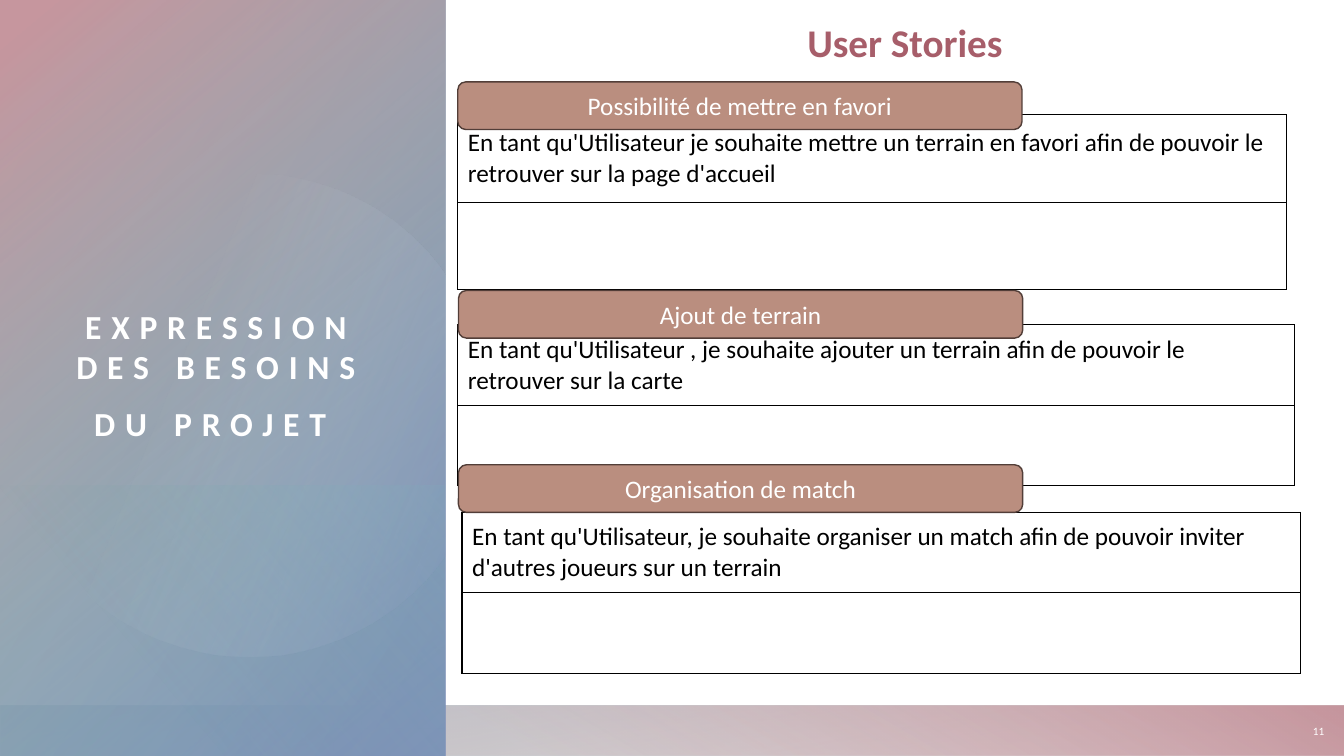
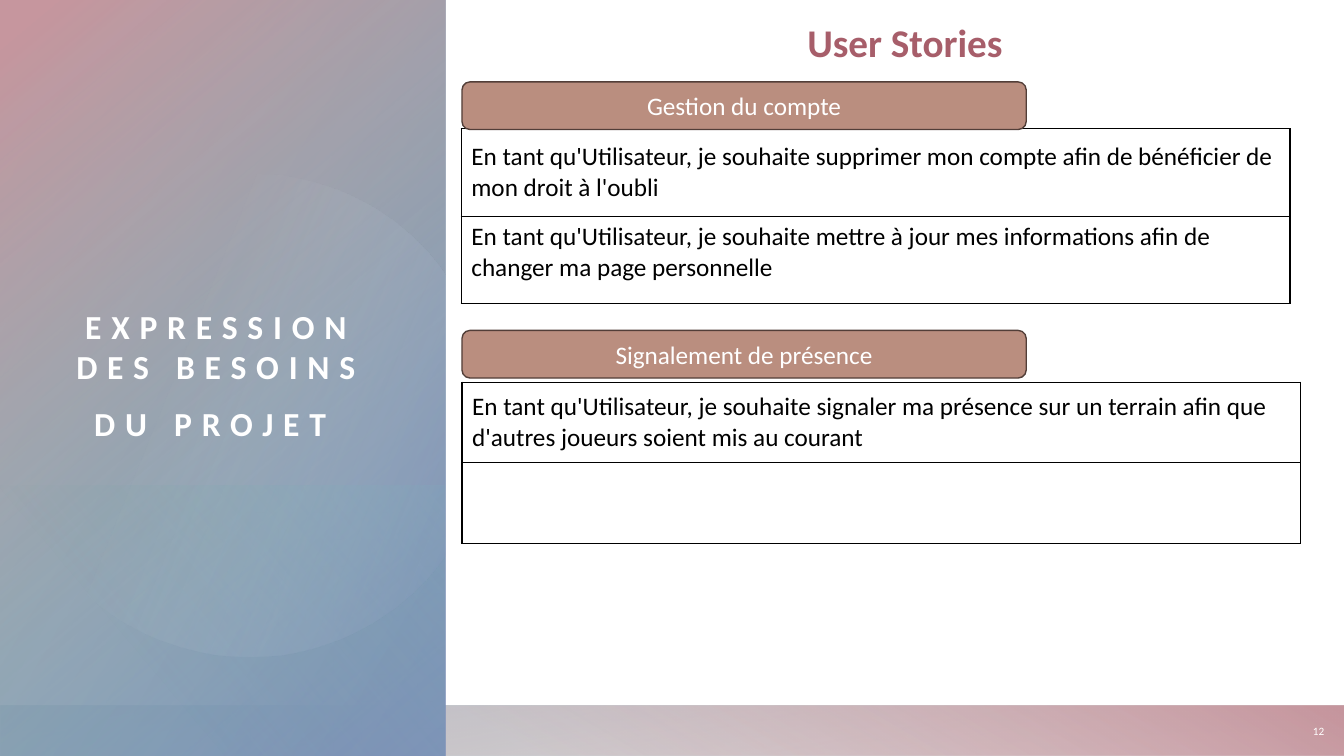
from dataclasses import dataclass
from typing import Optional

from pptx import Presentation
from pptx.dml.color import RGBColor
from pptx.enum.shapes import MSO_SHAPE
from pptx.enum.text import MSO_ANCHOR, MSO_AUTO_SIZE, PP_ALIGN
from pptx.oxml import parse_xml
from pptx.oxml.ns import nsdecls, qn
from pptx.util import Pt

RECTANGLE = MSO_SHAPE.RECTANGLE
ROUNDED_LABEL = MSO_SHAPE.FLOWCHART_ALTERNATE_PROCESS
TOP, MIDDLE, BOTTOM = MSO_ANCHOR.TOP, MSO_ANCHOR.MIDDLE, MSO_ANCHOR.BOTTOM
LEFT, CENTER, RIGHT = PP_ALIGN.LEFT, PP_ALIGN.CENTER, PP_ALIGN.RIGHT
NO_AUTOFIT = MSO_AUTO_SIZE.NONE

WHITE = RGBColor(0xFF, 0xFF, 0xFF)
BLACK = RGBColor(0x00, 0x00, 0x00)
BERRY = RGBColor(0xA7, 0x5E, 0x6A)
ROSE = RGBColor(0xC6, 0x96, 0x9E)
PALE_ROSE = RGBColor(0xDD, 0xC0, 0xC5)
TEAL = RGBColor(0x76, 0xAC, 0xA6)
SKY = RGBColor(0x7E, 0xA8, 0xB9)
PERIWINKLE = RGBColor(0x7F, 0x90, 0xBA)
MIST = RGBColor(0xE4, 0xEE, 0xED)
CLAY = RGBColor(0xBA, 0x8E, 0x7F)
DARK_CLAY = RGBColor(0x52, 0x3E, 0x38)

TITLE_FORMAT = {"name": "Calibri", "size": Pt(24), "bold": True, "color": WHITE}
TITLE_END_FORMAT = {**TITLE_FORMAT, "size": Pt(36)}
HEADING_FORMAT = {"name": "Calibri", "size": Pt(28), "bold": True, "color": BERRY}
LABEL_FORMAT = {"name": "Calibri", "size": Pt(18), "color": WHITE}
STORY_FORMAT = {"name": "Calibri", "size": Pt(18), "color": BLACK}
NUMBER_FORMAT = {"name": "Calibri", "size": Pt(8), "color": WHITE}


@dataclass(frozen=True)
class Box:
    left: float
    top: float
    width: float
    height: float

    def lengths(self) -> tuple:
        return Pt(self.left), Pt(self.top), Pt(self.width), Pt(self.height)


@dataclass(frozen=True)
class Stop:
    position: int
    color: RGBColor
    opacity: int = 100


@dataclass(frozen=True)
class Panel:
    box: Box
    rotation: int
    angle: int
    stops: tuple[Stop, ...]


@dataclass(frozen=True)
class Story:
    label: str
    label_left: float
    label_top: float
    table_left: float
    table_top: float
    table_width: float
    row_height: float
    first: str
    second: Optional[str] = None


@dataclass(frozen=True)
class Page:
    number: str
    stories: tuple[Story, ...]


SIDE_BOX = Box(-111, 111, 540, 318)
PANELS = (
    # Footer bands
    Panel(Box(0, 504, 960, 36), 180, 100, (Stop(14, TEAL, 28), Stop(100, SKY, 85))),
    Panel(Box(318, 504, 642, 36), 0, 240, (Stop(9, PALE_ROSE, 55), Stop(99, ROSE))),
    # Side panel layers
    Panel(SIDE_BOX, 90, 60, (Stop(8, PERIWINKLE), Stop(100, SKY, 72))),
    Panel(SIDE_BOX, 90, 40, (Stop(0, TEAL, 0), Stop(96, ROSE))),
    Panel(Box(62.5, 285, 193, 317), 90, 130, (Stop(2, SKY, 35), Stop(67, TEAL, 0))),
)

# Cut-off circle: one point is a line, three points are a Bézier curve
CIRCLE_START = (178, 124)
CIRCLE_SEGMENTS = (
    ((188.5, 124), (201, 125), (212.5, 127.5)),
    ((253.5, 135.5), (287.5, 157.5), (312, 188)),
    ((318, 196.5),),
    ((318, 396),),
    ((309.5, 407.5),),
    ((270, 454), (206.5, 479), (142.5, 465)),
    ((49, 445.5), (-11, 355), (8.5, 261.5)),
    ((25, 180), (97, 123), CIRCLE_START),
)
CIRCLE_STOPS = (Stop(39, MIST, 0), Stop(100, PERIWINKLE, 29))
CIRCLE_ANGLE = 22
CURVE_STEPS = 20

LABEL_WIDTH, LABEL_HEIGHT = 403, 34

PAGES = (
    Page("11", (
        Story("Possibilité de mettre en favori", 327, 58.5, 327, 82, 592, 62.5,
              "En tant qu'Utilisateur je souhaite mettre un terrain en favori afin de "
              "pouvoir le retrouver sur la page d'accueil"),
        Story("Ajout de terrain", 327.5, 207.5, 327, 232, 597.5, 57.5,
              "En tant qu'Utilisateur , je souhaite ajouter un terrain afin de "
              "pouvoir le retrouver sur la carte"),
        Story("Organisation de match", 327.5, 332, 330, 366, 599, 57.5,
              "En tant qu'Utilisateur, je souhaite organiser un match afin de "
              "pouvoir inviter d'autres joueurs sur un terrain"),
    )),
    Page("12", (
        Story("Gestion du compte", 330, 58.5, 329.5, 92, 592, 62.5,
              "En tant qu'Utilisateur, je souhaite supprimer mon compte afin de "
              "bénéficier de mon droit à l'oubli",
              "En tant qu'Utilisateur, je souhaite mettre à jour mes informations "
              "afin de changer ma page personnelle"),
        Story("Signalement de présence", 330, 236, 330, 273, 599, 57.5,
              "En tant qu'Utilisateur, je souhaite signaler ma présence sur un "
              "terrain afin que d'autres joueurs soient mis au courant"),
    )),
)


def add_run(paragraph, text: str, font_format: dict):
    run = paragraph.add_run()
    run.text = text
    for name, value in font_format.items():
        if name == "color":
            run.font.color.rgb = value
        else:
            setattr(run.font, name, value)
    return run


def write_text(frame, text: str, font_format: dict, alignment, anchor) -> None:
    frame.word_wrap = True
    frame.vertical_anchor = anchor
    frame.paragraphs[0].alignment = alignment
    add_run(frame.paragraphs[0], text, font_format)


def set_gradient(shape, stops: tuple[Stop, ...], angle: int) -> None:
    shape.shadow.inherit = False
    shape.line.fill.background()
    shape.fill.background()
    stop_xml = "".join(
        f'<a:gs pos="{stop.position * 1000}"><a:srgbClr val="{stop.color}">'
        f'<a:alpha val="{stop.opacity * 1000}"/></a:srgbClr></a:gs>'
        for stop in stops)
    gradient = parse_xml(
        f'<a:gradFill {nsdecls("a")} rotWithShape="1"><a:gsLst>{stop_xml}</a:gsLst>'
        f'<a:lin ang="{angle * 60000}" scaled="0"/></a:gradFill>')
    properties = shape.element.spPr
    properties.replace(properties.find(qn("a:noFill")), gradient)


def add_panel(slide, panel: Panel) -> None:
    shape = slide.shapes.add_shape(RECTANGLE, *panel.box.lengths())
    shape.rotation = panel.rotation
    shape.element.spPr.find(qn("a:xfrm")).set("flipH", "1")
    set_gradient(shape, panel.stops, panel.angle)


def curve_points(start: tuple, controls: tuple) -> list[tuple]:
    points = []
    for step in range(1, CURVE_STEPS + 1):
        t = step / CURVE_STEPS
        weights = ((1 - t) ** 3, 3 * t * (1 - t) ** 2, 3 * t * t * (1 - t), t ** 3)
        corners = (start, *controls)
        points.append(tuple(sum(weight * corner[axis]
                                for weight, corner in zip(weights, corners))
                            for axis in (0, 1)))
    return points


def add_circle(slide) -> None:
    points = [CIRCLE_START]
    for segment in CIRCLE_SEGMENTS:
        points += segment if len(segment) == 1 else curve_points(points[-1], segment)
    vertices = [(Pt(x), Pt(y)) for x, y in points]
    builder = slide.shapes.build_freeform(*vertices[0])
    builder.add_line_segments(vertices[1:], close=True)
    set_gradient(builder.convert_to_shape(), CIRCLE_STOPS, CIRCLE_ANGLE)


def add_title(slide) -> None:
    title = slide.shapes.title
    title.left, title.top, title.width, title.height = Box(30, 81.5, 255.5, 237.5).lengths()
    frame = title.text_frame
    frame.auto_size = NO_AUTOFIT
    for side in ("left", "top", "right", "bottom"):
        setattr(frame, f"margin_{side}", Pt(0))
    write_text(frame, "", TITLE_FORMAT, CENTER, BOTTOM)
    paragraph = frame.paragraphs[0]
    for run in tuple(paragraph.runs):
        run.text = "EXPRESSION DES BESOINS DU PROJET"
    add_run(paragraph, " ", TITLE_END_FORMAT)
    for run in paragraph.runs:
        run.font.element.set("spc", "700") if hasattr(run.font, "element") else \
            run._r.get_or_add_rPr().set("spc", "700")
    # Bring the title in front of the side panel
    slide.shapes.element.append(title.element)


def add_text(slide, box: Box, text: str, font_format: dict, alignment, anchor) -> None:
    text_box = slide.shapes.add_textbox(*box.lengths())
    write_text(text_box.text_frame, text, font_format, alignment, anchor)


def set_borders(cell) -> None:
    properties = cell._tc.get_or_add_tcPr()
    for position, edge in enumerate(("lnL", "lnR", "lnT", "lnB")):
        properties.insert(position, parse_xml(
            f'<a:{edge} {nsdecls("a")} w="12700"><a:solidFill>'
            f'<a:srgbClr val="{BLACK}"/></a:solidFill></a:{edge}>'))


def add_story_table(slide, story: Story) -> None:
    box = Box(story.table_left, story.table_top, story.table_width, 2 * story.row_height)
    table = slide.shapes.add_table(2, 1, *box.lengths()).table
    table.first_row = table.horz_banding = False
    for row, text, anchor in zip(table.rows, (story.first, story.second), (MIDDLE, TOP)):
        cell = row.cells[0]
        cell.fill.background()
        set_borders(cell)
        cell.vertical_anchor = anchor
        if text:
            cell.text_frame.paragraphs[0].alignment = LEFT
            add_run(cell.text_frame.paragraphs[0], text, STORY_FORMAT)


def add_story_label(slide, story: Story) -> None:
    box = Box(story.label_left, story.label_top, LABEL_WIDTH, LABEL_HEIGHT)
    label = slide.shapes.add_shape(ROUNDED_LABEL, *box.lengths())
    label.shadow.inherit = False
    label.fill.solid()
    label.fill.fore_color.rgb = CLAY
    label.line.color.rgb = DARK_CLAY
    label.line.width = Pt(1)
    write_text(label.text_frame, story.label, LABEL_FORMAT, CENTER, MIDDLE)


def add_page(presentation, page: Page) -> None:
    slide = presentation.slides.add_slide(presentation.slide_layouts.get_by_name("Title Only"))
    # Shared background, title and footer
    for panel in PANELS:
        add_panel(slide, panel)
    add_circle(slide)
    add_title(slide)
    add_text(slide, Box(402, 9.5, 495, 41), "User Stories ", HEADING_FORMAT, CENTER, TOP)
    add_text(slide, Box(918.5, 504.5, 34.5, 35.5), page.number, NUMBER_FORMAT, RIGHT, MIDDLE)
    # Stories, with the labels lying over the tables
    for story in page.stories:
        add_story_table(slide, story)
    for story in page.stories:
        add_story_label(slide, story)


def main() -> None:
    presentation = Presentation()
    presentation.slide_width, presentation.slide_height = Pt(960), Pt(540)
    for page in PAGES:
        add_page(presentation, page)
    presentation.save("out.pptx")


if __name__ == "__main__":
    main()
